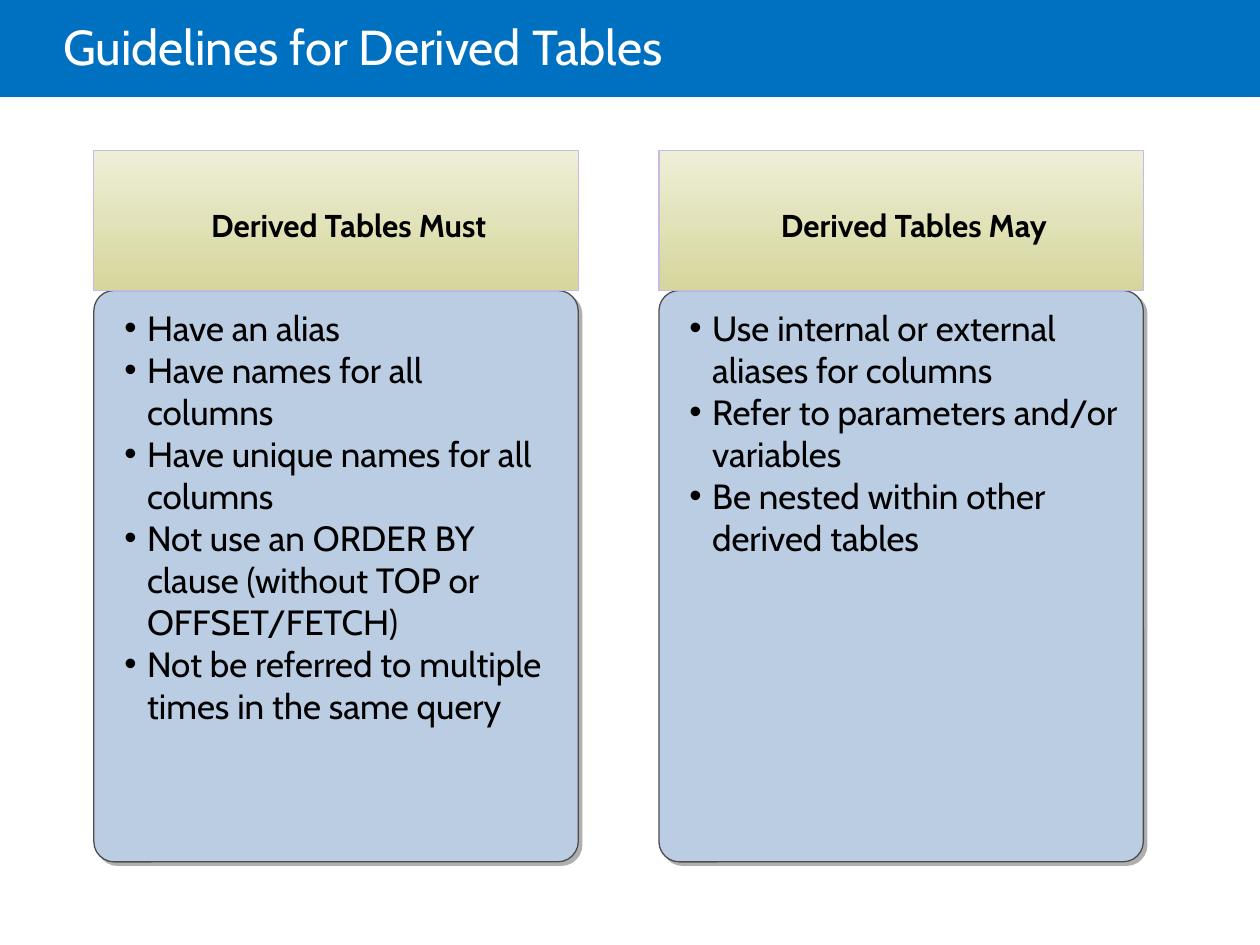
from lxml import etree
from pptx import Presentation
from pptx.dml.color import RGBColor
from pptx.enum.shapes import MSO_SHAPE
from pptx.enum.text import MSO_ANCHOR, PP_ALIGN
from pptx.oxml import parse_xml
from pptx.oxml.ns import nsdecls, qn
from pptx.util import Inches, Pt

RECTANGLE, ROUNDED = MSO_SHAPE.RECTANGLE, MSO_SHAPE.ROUNDED_RECTANGLE
MIDDLE, TOP = MSO_ANCHOR.MIDDLE, MSO_ANCHOR.TOP
LEFT, CENTER = PP_ALIGN.LEFT, PP_ALIGN.CENTER
BLUE = RGBColor(0x00, 0x70, 0xC0)
WHITE = RGBColor(0xFF, 0xFF, 0xFF)
BLACK = RGBColor(0x00, 0x00, 0x00)
PALE_BLUE = RGBColor(0xBB, 0xCD, 0xE3)
DARK_GREY = RGBColor(0x4D, 0x4D, 0x4D)
SHADOW_GREY = RGBColor(0xAF, 0xAF, 0xAF)
LILAC = RGBColor(0xCC, 0xB8, 0xE4)
HEADER_COLOURS = (RGBColor(0xEE, 0xEF, 0xD7), RGBColor(0xD5, 0xD6, 0x9C))
FONT = "Cabin"
WIDTH, HEIGHT = Inches(10), Inches(7.5)
INDENT = Inches(0.18)

PANELS = [
    ("Derived Tables Must", [
        "Have an alias",
        "Have names for all columns",
        "Have unique names for all columns",
        "Not use an ORDER BY clause (without TOP or OFFSET/FETCH)",
        "Not be referred to multiple times in the same query",
    ]),
    ("Derived Tables May", [
        "Use internal or external aliases for columns",
        "Refer to parameters and/or variables",
        "Be nested within other derived tables",
    ]),
]


def part(box, left, top, width, height):
    """Return the part of a box given by shares of its size."""
    x, y, w, h = box
    return (round(x + left * w), round(y + top * h), round(width * w), round(height * h))


def set_frame(shape, anchor, insets):
    """Set wrapping, anchor and insets in inches, and return the text frame."""
    frame = shape.text_frame
    frame.word_wrap = True
    frame.vertical_anchor = anchor
    (frame.margin_left, frame.margin_top,
     frame.margin_right, frame.margin_bottom) = map(Inches, insets)
    return frame


def add_run(paragraph, text, size, colour, bold=False):
    """Add one formatted run to a paragraph."""
    run = paragraph.add_run()
    run.text = text
    run.font.name = FONT
    run.font.size = Pt(size)
    run.font.bold = bold
    run.font.color.rgb = colour


def add_block(slide, kind, box, line=None):
    """Add a preset shape without a shadow and with an optional thin outline."""
    shape = slide.shapes.add_shape(kind, *box)
    if line is None:
        shape.line.fill.background()
    else:
        shape.line.color.rgb = line
        shape.line.width = Pt(0.75)
    shape.shadow.inherit = False
    return shape


def add_shadow(shape):
    """Give a shape a hard grey shadow to the lower right."""
    effects = shape.element.spPr.find(qn("a:effectLst"))
    effects.append(parse_xml(
        f'<a:outerShdw {nsdecls("a")} dist="{Pt(2.8)}" dir="2700000" algn="ctr" '
        f'rotWithShape="0"><a:srgbClr val="{SHADOW_GREY}"/></a:outerShdw>'))


def add_title(slide, box, text):
    """Place the title on its coloured band."""
    band = add_block(slide, RECTANGLE, part(box, 0, 0, 1, 0.95))
    band.fill.solid()
    band.fill.fore_color.rgb = BLUE
    title = slide.shapes.title
    title.element.addprevious(band.element)
    title.left, title.top, title.width, title.height = part(box, 0.05, 0, 0.85, 1)
    paragraph = set_frame(title, MIDDLE, (0, 0.05, 0.1, 0.05)).paragraphs[0]
    paragraph.alignment = LEFT
    paragraph.line_spacing = 0.85
    add_run(paragraph, text, 28, WHITE)


def add_bullets(slide, box, items):
    """Add a bulleted list."""
    frame = set_frame(slide.shapes.add_textbox(*box), TOP, (0, 0, 0, 0))
    for index, item in enumerate(items):
        paragraph = frame.add_paragraph() if index else frame.paragraphs[0]
        properties = paragraph._p.get_or_add_pPr()
        properties.set("marL", str(INDENT))
        properties.set("indent", str(-INDENT))
        etree.SubElement(properties, qn("a:buFont")).set("typeface", "Arial")
        etree.SubElement(properties, qn("a:buChar")).set("char", "•")
        add_run(paragraph, item, 20, BLACK)


def add_panel(slide, box, heading, items):
    """Add a card with a gradient header and a bulleted list."""
    card = add_block(slide, ROUNDED, part(box, 0, 0.197, 1, 0.803), DARK_GREY)
    card.adjustments[0] = 0.042
    card.fill.solid()
    card.fill.fore_color.rgb = PALE_BLUE
    add_shadow(card)

    header = add_block(slide, RECTANGLE, part(box, 0, 0, 1, 0.197), LILAC)
    header.fill.gradient()
    header.fill.gradient_angle = 270
    for stop, colour in zip(header.fill.gradient_stops, HEADER_COLOURS):
        stop.color.rgb = colour
    paragraph = set_frame(header, MIDDLE, (0.3, 0.12, 0.1, 0.05)).paragraphs[0]
    paragraph.alignment = CENTER
    add_run(paragraph, heading, 18, BLACK, bold=True)

    add_bullets(slide, part(box, 0.063, 0.219, 0.89, 0.736), items)


def main():
    """Build the slide and save it."""
    presentation = Presentation()
    presentation.slide_width, presentation.slide_height = WIDTH, HEIGHT
    slide = presentation.slides.add_slide(presentation.slide_layouts[5])
    page = (0, 0, WIDTH, HEIGHT)
    add_title(slide, part(page, 0, 0, 1, 0.108), "Guidelines for Derived Tables")
    for column, (heading, items) in enumerate(PANELS):
        box = part(page, 0.0745 + 0.4485 * column, 0.159, 0.3845, 0.753)
        add_panel(slide, box, heading, items)
    presentation.save("out.pptx")


if __name__ == "__main__":
    main()
